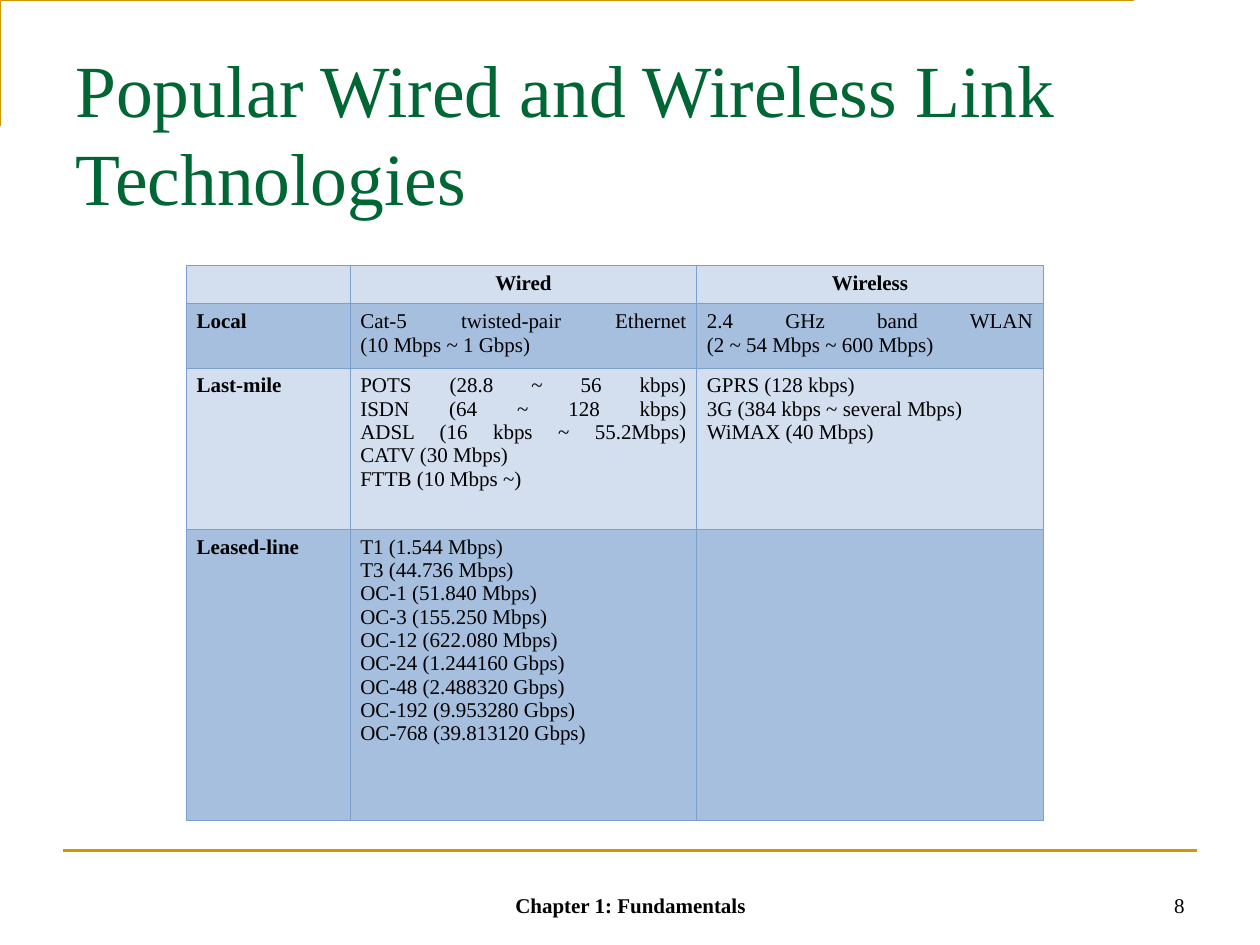
from dataclasses import dataclass

from lxml import etree
from pptx import Presentation
from pptx import util as u
from pptx.dml.color import RGBColor as Rgb
from pptx.enum import text
from pptx.enum.shapes import MSO_CONNECTOR as Link
from pptx.oxml import ns

Al, Anc = text.PP_ALIGN, text.MSO_ANCHOR


@dataclass(frozen=True)
class Theme:
    font: str = "Times New Roman"
    gold: str = "CC9900"
    green: str = "006633"
    ink: str = "000000"
    edge: str = "7BA0CD"
    bands: tuple = ("D3DFEE", "A7BFDE")
    big: float = 42
    small: float = 12
    rule: float = 1.5


@dataclass(frozen=True)
class Label:
    words: str
    box: tuple
    size: float
    color: str
    align: Al = Al.LEFT
    anchor: Anc = Anc.BOTTOM
    bold: bool = False


T = Theme()
COLS = (1.3, 2.75, 2.75)
ROWS = (0.29, 0.51, 1.28, 2.31)
LABELS = (
    Label("Popular Wired and Wireless Link Technologies",
          (0.5, 0.3, 9, 1.25), T.big, T.green, anchor=Anc.TOP),
    Label("Chapter 1: Fundamentals", (3.42, 6.83, 3.17, 0.5),
          T.small, T.ink, Al.CENTER, bold=True),
    Label("8", (7.17, 6.83, 2.33, 0.5), T.small, T.ink, Al.RIGHT),
)
# "\n" starts a paragraph, "\v" breaks a line inside one
CELLS = (
    ("", "Wired", "Wireless"),
    ("Local", "Cat-5 twisted-pair Ethernet\v(10 Mbps ~ 1 Gbps)",
     "2.4 GHz band WLAN\v(2 ~ 54 Mbps ~ 600 Mbps)"),
    ("Last-mile",
     "POTS (28.8 ~ 56 kbps)\vISDN (64 ~ 128 kbps)\v"
     "ADSL (16 kbps ~ 55.2Mbps)\vCATV (30 Mbps)\nFTTB (10 Mbps ~)",
     "GPRS (128 kbps)\n3G (384 kbps ~ several Mbps)\nWiMAX (40 Mbps)"),
    ("Leased-line",
     "T1 (1.544 Mbps)\nT3 (44.736 Mbps)\nOC-1 (51.840 Mbps)\n"
     "OC-3 (155.250 Mbps)\nOC-12 (622.080 Mbps)\nOC-24 (1.244160 Gbps)\n"
     "OC-48 (2.488320 Gbps)\nOC-192 (9.953280 Gbps)\n"
     "OC-768 (39.813120 Gbps)", ""),
)


def style(frame, size: float, color: str, align: Al, bold: bool) -> None:
    for para in frame.paragraphs:
        para.alignment = align
        font = para.font
        font.name, font.size, font.bold = T.font, u.Pt(size), bold
        font.color.rgb = Rgb.from_string(color)


def write(slide, label: Label) -> None:
    box = slide.shapes.add_textbox(*map(u.Inches, label.box))
    frame = box.text_frame
    frame.word_wrap = True
    frame.vertical_anchor = label.anchor
    frame.text = label.words
    style(frame, label.size, label.color, label.align, label.bold)


def ink(line) -> None:
    line.color.rgb = Rgb.from_string(T.gold)
    line.width = u.Pt(T.rule)


def frame_rules(slide) -> None:
    # Open corner at the top left
    pen = slide.shapes.build_freeform(0.42, 0.92, scale=u.Inches(1))
    pen.add_line_segments([(0.42, 0.25), (9.42, 0.25)], close=False)
    corner = pen.convert_to_shape()
    corner.shadow.inherit = False
    corner.fill.background()
    ink(corner.line)
    # Rule above the footer
    rule = slide.shapes.add_connector(
        Link.STRAIGHT, *map(u.Inches, (0.5, 6.75, 9.5, 6.75)))
    etree.SubElement(rule._element.spPr, ns.qn("a:effectLst"))
    ink(rule.line)


def edge(cell) -> None:
    props = cell._tc.get_or_add_tcPr()
    for at, side in enumerate(("lnL", "lnR", "lnT", "lnB")):
        line = etree.Element(ns.qn("a:" + side), w=str(u.Pt(0.45)))
        fill = etree.SubElement(line, ns.qn("a:solidFill"))
        etree.SubElement(fill, ns.qn("a:srgbClr"), val=T.edge)
        props.insert(at, line)


def grid(slide) -> None:
    area = map(u.Inches, (1.48, 2.11, sum(COLS), sum(ROWS)))
    table = slide.shapes.add_table(len(ROWS), len(COLS), *area).table
    for col, width in zip(table.columns, COLS):
        col.width = u.Inches(width)
    for r, (row, high) in enumerate(zip(table.rows, ROWS)):
        row.height = u.Inches(high)
        for c, cell in enumerate(row.cells):
            cell.text = CELLS[r][c]
            cell.margin_left = cell.margin_right = u.Inches(0.08)
            cell.fill.solid()
            cell.fill.fore_color.rgb = Rgb.from_string(T.bands[r % 2])
            style(cell.text_frame, T.small, T.ink,
                  Al.JUSTIFY if r else Al.CENTER, r == 0 or c == 0)
            edge(cell)


def main() -> None:
    deck = Presentation()
    deck.slide_width, deck.slide_height = u.Inches(10), u.Inches(7.5)
    slide = deck.slides.add_slide(deck.slide_layouts[6])
    frame_rules(slide)
    for label in LABELS:
        write(slide, label)
    grid(slide)
    deck.save("out.pptx")


main()
